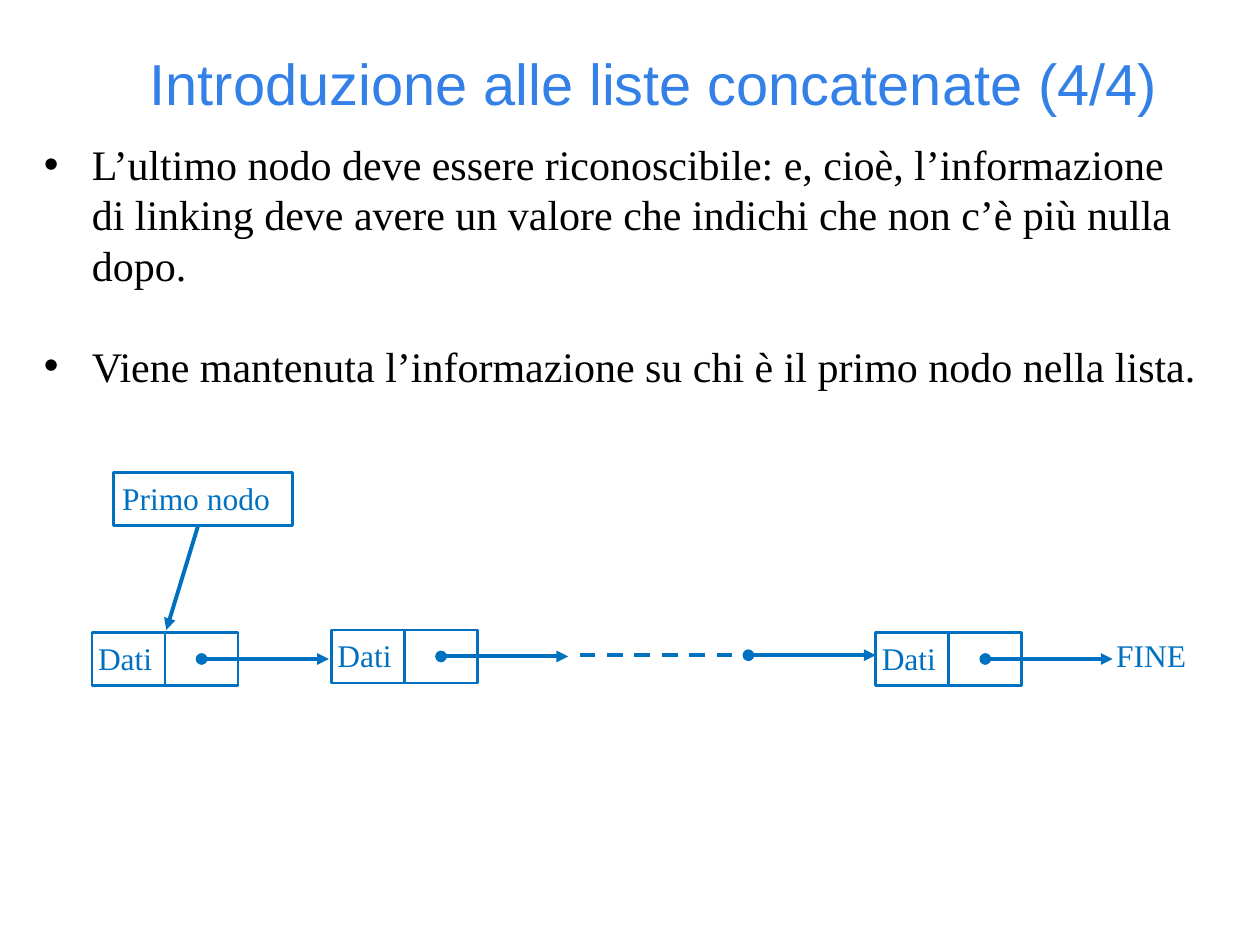
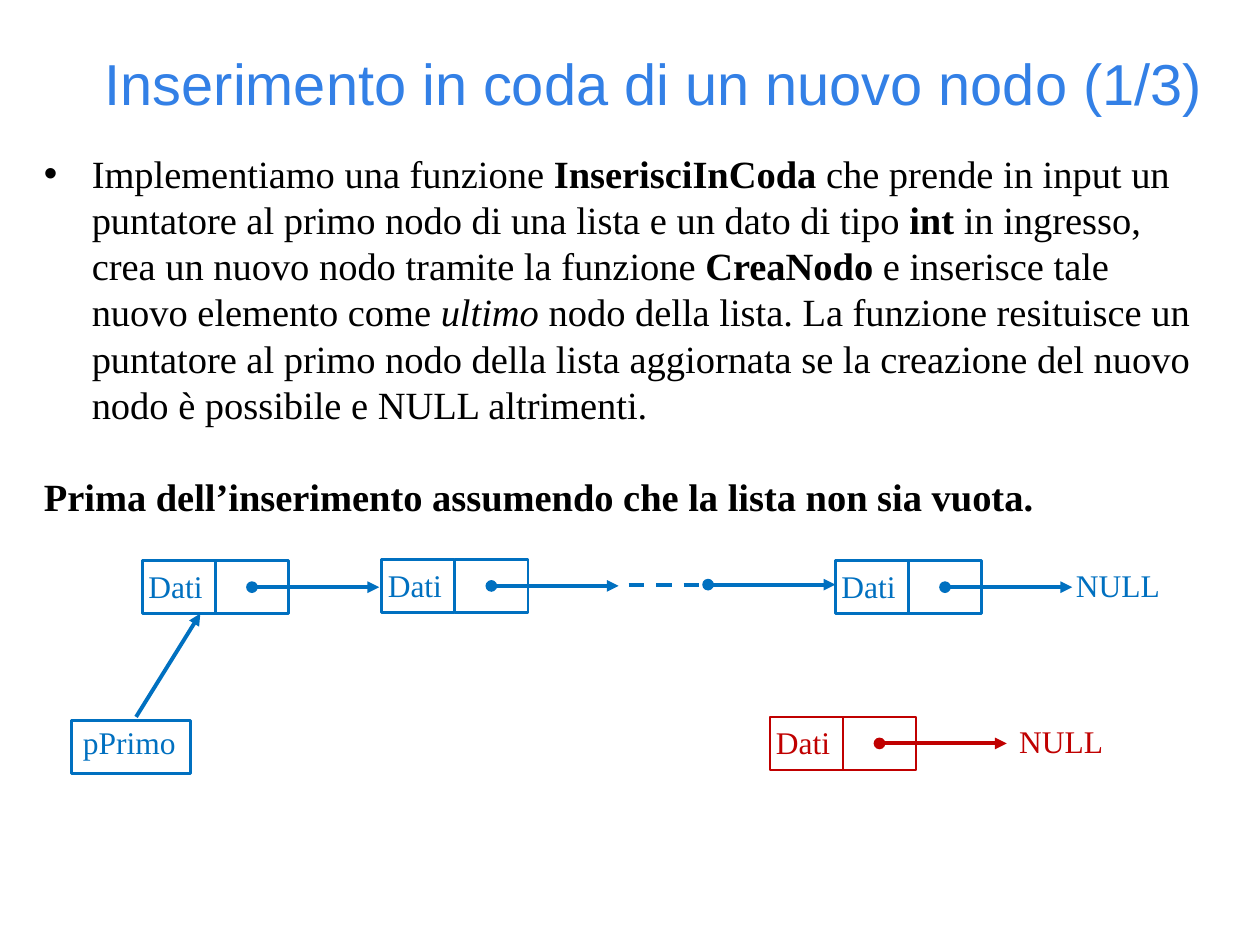
"""Build two slides on linked lists and on inserting a node at the tail."""
import dataclasses

import pptx
import pptx.dml.color
import pptx.enum.dml
import pptx.enum.shapes
import pptx.enum.text
import pptx.oxml.ns
import pptx.util
from lxml import etree

Inches = pptx.util.Inches
Pt = pptx.util.Pt


@dataclasses.dataclass(frozen=True)
class Theme:
    title_color: str = "3380E6"
    text_color: str = "000000"
    list_color: str = "0070C0"
    new_color: str = "C00000"
    title_font: str = "Arial"
    text_font: str = "Times New Roman"
    title_size: float = 33
    label_size: float = 18
    box_line: float = 1.5
    arrow_line: float = 2.25
    line_height: float = 1.2
    bullet_indent: float = 0.38
    cell_width: float = 0.58
    cell_height: float = 0.42
    arrow_length: float = 1.01


def rgb(color):
    return pptx.dml.color.RGBColor.from_string(color)


def add_xml(parent, tag, **attributes):
    return etree.SubElement(parent, pptx.oxml.ns.qn(tag), attributes)


class Deck:
    def __init__(self, theme):
        self.theme = theme
        self.presentation = pptx.Presentation()
        self.presentation.slide_width = Inches(10)
        self.presentation.slide_height = Inches(7.5)
        self.slide = None

    def add_slide(self, title):
        layout = self.presentation.slide_layouts[6]
        self.slide = self.presentation.slides.add_slide(layout)
        theme = self.theme
        paragraph = self.text_frame(0.5, 0.39, 9.25, 0.68).paragraphs[0]
        paragraph.alignment = pptx.enum.text.PP_ALIGN.CENTER
        paragraph.line_spacing = 0.9
        self.add_run(paragraph, " " + title, theme.title_color,
                     name=theme.title_font, size=Pt(theme.title_size))

    def text_frame(self, left, top, width, height):
        box = self.slide.shapes.add_textbox(
            Inches(left), Inches(top), Inches(width), Inches(height))
        box.text_frame.word_wrap = True
        return box.text_frame

    def add_run(self, paragraph, text, color, **formats):
        run = paragraph.add_run()
        run.text = text
        run.font.color.rgb = rgb(color)
        for attribute, value in formats.items():
            setattr(run.font, attribute, value)

    def add_body(self, top, height, size, paragraphs):
        theme = self.theme
        frame = self.text_frame(0.25, top, 9.42, height)
        for index, (bulleted, runs) in enumerate(paragraphs):
            paragraph = frame.add_paragraph() if index else frame.paragraphs[0]
            if index:
                paragraph.space_before = Pt(size * theme.line_height)
            if bulleted:
                self.add_bullet(paragraph)
            for text, formats in runs:
                self.add_run(paragraph, text, theme.text_color,
                             name=theme.text_font, size=Pt(size), **formats)

    def add_bullet(self, paragraph):
        indent = Inches(self.theme.bullet_indent)
        properties = paragraph._p.get_or_add_pPr()
        properties.set("marL", str(indent))
        properties.set("indent", str(-indent))
        add_xml(properties, "a:buFont", typeface=self.theme.title_font)
        add_xml(properties, "a:buChar", char="•")

    def add_label(self, left, top, width, text, color):
        paragraph = self.text_frame(left, top, width, 0.4).paragraphs[0]
        self.add_run(paragraph, text, color, name=self.theme.text_font,
                     size=Pt(self.theme.label_size))

    def add_box(self, left, top, width, color):
        box = self.slide.shapes.add_shape(
            pptx.enum.shapes.MSO_SHAPE.RECTANGLE, Inches(left), Inches(top),
            Inches(width), Inches(self.theme.cell_height))
        box.shadow.inherit = False
        box.fill.background()
        box.line.color.rgb = rgb(color)
        box.line.width = Pt(self.theme.box_line)

    def add_line(self, start, end, color, head=None, tail=None, dashed=False):
        connector = self.slide.shapes.add_connector(
            pptx.enum.shapes.MSO_CONNECTOR.STRAIGHT,
            *(Inches(value) for value in (*start, *end)))
        connector.line.color.rgb = rgb(color)
        connector.line.width = Pt(self.theme.arrow_line)
        if dashed:
            connector.line.dash_style = pptx.enum.dml.MSO_LINE.DASH
        line = connector.line._get_or_add_ln()
        for tag, kind in (("a:headEnd", head), ("a:tailEnd", tail)):
            if kind:
                add_xml(line, tag, type=kind)
        add_xml(connector._element.spPr, "a:effectLst")

    def add_pointer(self, left, top, color):
        self.add_line((left, top), (left + self.theme.arrow_length, top),
                      color, head="oval", tail="triangle")

    def add_node(self, left, top, color):
        width = self.theme.cell_width
        for column in range(2):
            self.add_box(left + column * width, top, width, color)
        self.add_label(left - 0.05, top, 0.64, "Dati", color)
        self.add_pointer(left + 1.5 * width, top + self.theme.cell_height / 2,
                         color)

    def add_list(self, nodes, dash_start, dash_end, level, end_left, end_text):
        color = self.theme.list_color
        for left, top in nodes:
            self.add_node(left, top, color)
        self.add_line((dash_start, level), (dash_end, level), color,
                      dashed=True)
        self.add_pointer(dash_end, level, color)
        self.add_label(end_left, nodes[1][1], 0.91, end_text, color)


def build_introduction(deck):
    color = deck.theme.list_color
    deck.add_slide("Introduzione alle liste concatenate (4/4)")
    deck.add_body(1.05, 2.03, 24, [
        (True, [("L’ultimo nodo deve essere riconoscibile: e, cioè, "
                 "l’informazione di linking deve avere un valore che indichi "
                 "che non c’è più nulla dopo.", {})]),
        (True, [("Viene mantenuta l’informazione su chi è il primo nodo "
                 "nella lista.", {})]),
    ])
    deck.add_list([(0.73, 5.02), (2.63, 5), (6.95, 5.02)],
                  4.6, 5.94, 5.2, 8.76, "FINE")
    deck.add_box(0.9, 3.75, 1.42, color)
    deck.add_label(0.87, 3.75, 1.48, "Primo nodo", color)
    deck.add_line((1.57, 4.18), (1.32, 5), color, tail="triangle")


def build_tail_insertion(deck):
    color = deck.theme.list_color
    new_color = deck.theme.new_color
    bold = {"bold": True}
    deck.add_slide("Inserimento in coda di un nuovo nodo (1/3)")
    deck.add_body(1.14, 2.92, 22, [
        (True, [
            ("Implementiamo una funzione ", {}),
            ("InserisciInCoda ", bold),
            ("che prende in input un puntatore al primo nodo di una lista e "
             "un dato di tipo ", {}),
            ("int", bold),
            (" in ingresso, crea un nuovo nodo tramite la funzione ", {}),
            ("CreaNodo", bold),
            (" e inserisce tale nuovo elemento come ", {}),
            ("ultimo ", {"italic": True}),
            ("nodo della lista. La funzione resituisce un puntatore al primo "
             "nodo della lista aggiornata se la creazione del nuovo nodo è "
             "possibile e NULL altrimenti.", {}),
        ]),
        (False, [("Prima dell’inserimento assumendo che la lista non sia "
                  "vuota.", bold)]),
    ])
    deck.add_list([(1.13, 4.45), (3.03, 4.44), (6.63, 4.45)],
                  4.99, 5.62, 4.64, 8.44, "NULL")
    deck.add_box(0.57, 5.72, 0.94, color)
    deck.add_label(0.56, 5.69, 1.03, "pPrimo", color)
    deck.add_line((1.08, 5.69), (1.59, 4.87), color, tail="triangle")
    deck.add_node(6.11, 5.69, new_color)
    deck.add_label(7.99, 5.68, 0.91, "NULL", new_color)


def main():
    deck = Deck(Theme())
    build_introduction(deck)
    build_tail_insertion(deck)
    deck.presentation.save("out.pptx")


if __name__ == "__main__":
    main()
